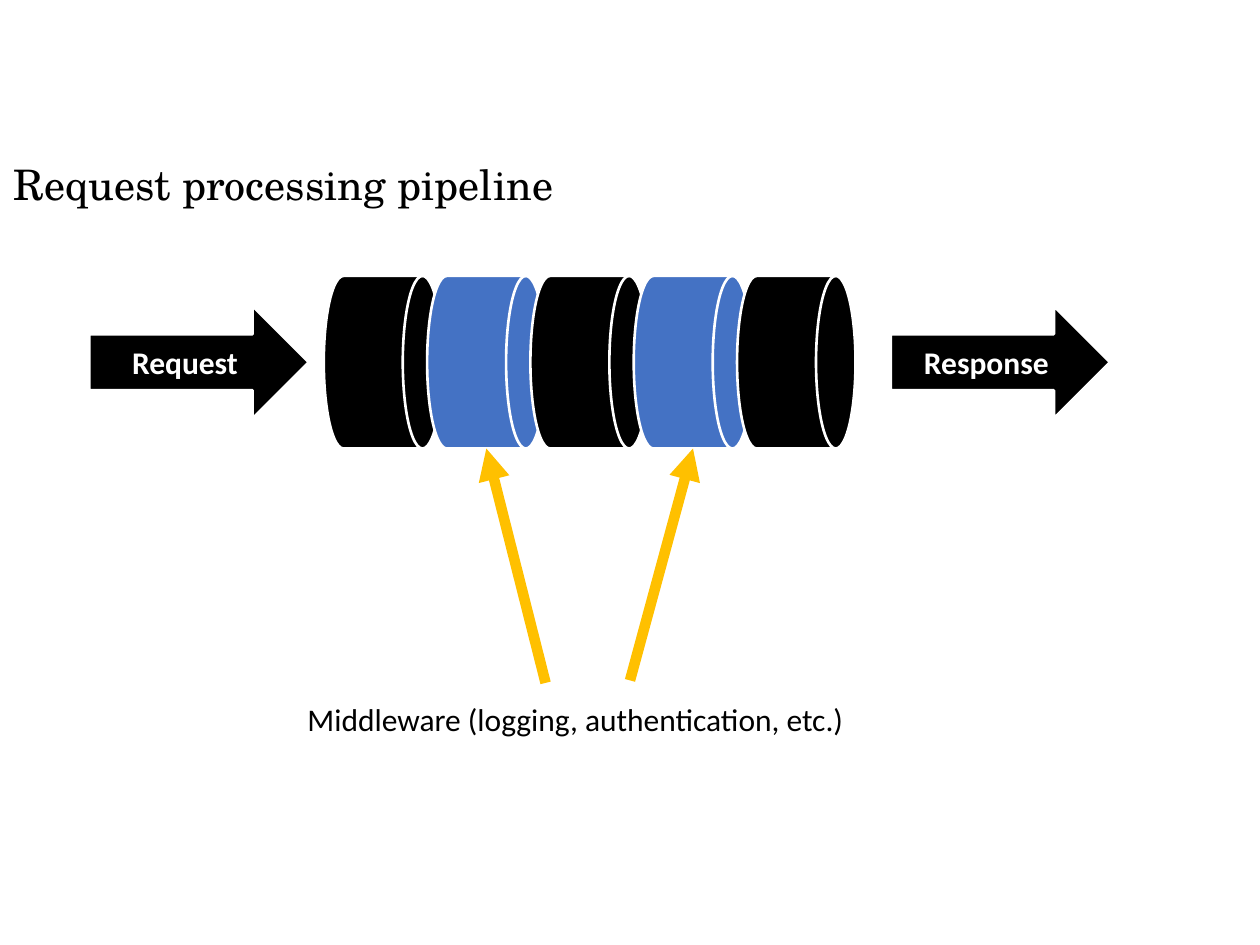
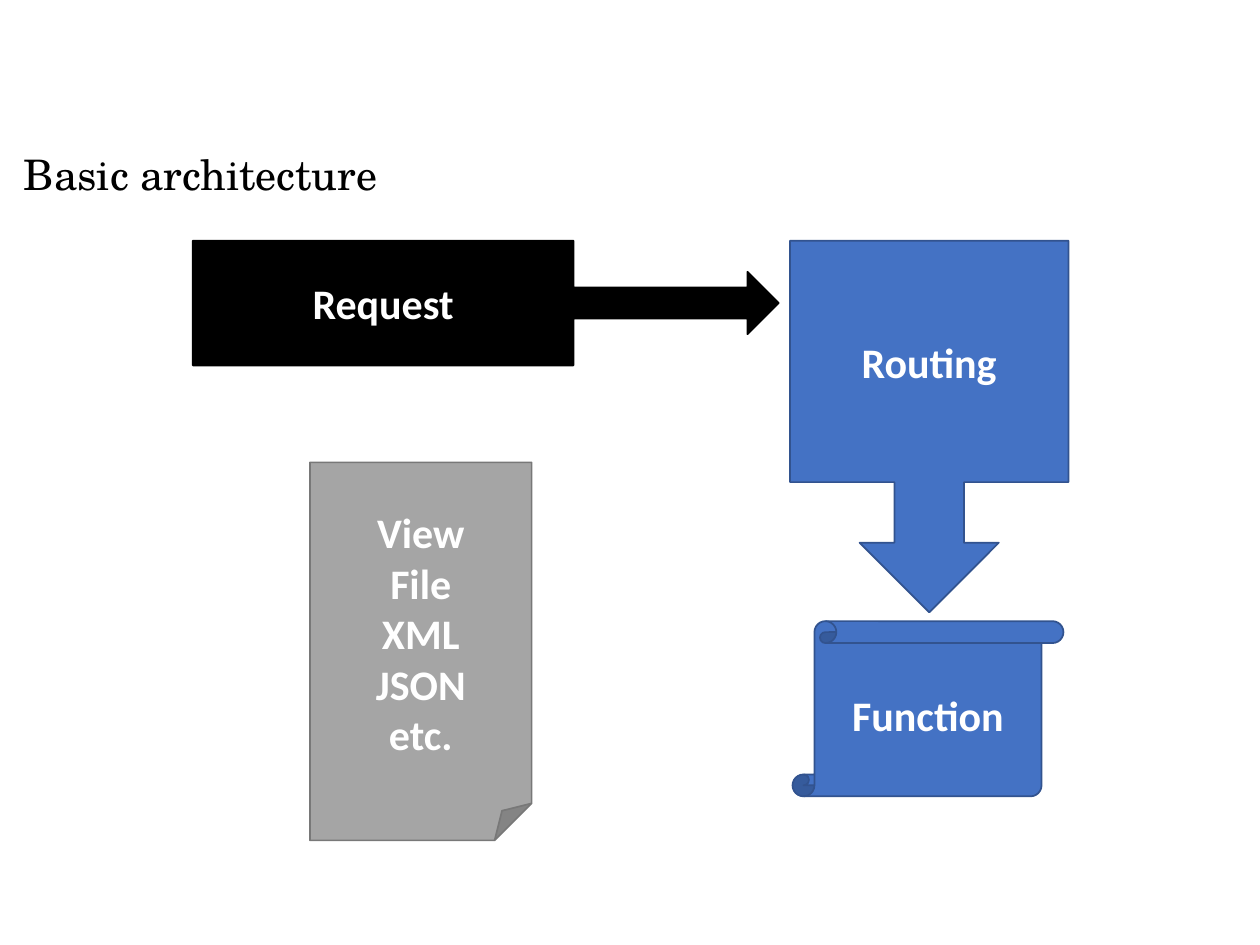
from dataclasses import dataclass

from lxml import etree
from pptx import Presentation
from pptx.dml.color import RGBColor
from pptx.enum.shapes import MSO_CONNECTOR, MSO_SHAPE
from pptx.enum.text import MSO_ANCHOR, PP_ALIGN
from pptx.oxml.ns import qn
from pptx.slide import Slide
from pptx.text.text import TextFrame
from pptx.util import Inches, Pt

ARROW = MSO_SHAPE.RIGHT_ARROW
DRUM = MSO_SHAPE.FLOWCHART_DIRECT_ACCESS_STORAGE
ARROW_BOX = MSO_SHAPE.RIGHT_ARROW_CALLOUT
DOWN_ARROW_BOX = MSO_SHAPE.DOWN_ARROW_CALLOUT
PAGE = MSO_SHAPE.FOLDED_CORNER
SCROLL = MSO_SHAPE.VERTICAL_SCROLL
STRAIGHT = MSO_CONNECTOR.STRAIGHT
LEFT, CENTER = PP_ALIGN.LEFT, PP_ALIGN.CENTER
TOP, MIDDLE = MSO_ANCHOR.TOP, MSO_ANCHOR.MIDDLE


@dataclass(frozen=True)
class Theme:
    black: str = "000000"
    white: str = "FFFFFF"
    blue: str = "4472C4"
    blue_edge: str = "32538F"
    gray: str = "A5A5A5"
    gray_edge: str = "787878"
    gold: str = "FFC000"
    title_font: str = "TeX Gyre Schola"
    body_font: str = "Calibri"
    large: int = 24
    small: int = 18
    outline: float = 1
    pipe_outline: float = 1.5
    pointer: float = 6
    title_inset: float = 0.1
    inset: float = 0.05


THEME = Theme()


@dataclass(frozen=True)
class Box:
    left: float
    top: float
    width: float
    height: float

    def emu(self) -> tuple[int, ...]:
        return tuple(Inches(v) for v in (self.left, self.top, self.width, self.height))


@dataclass(frozen=True)
class TextStyle:
    size: int
    color: str
    font: str = THEME.body_font
    bold: bool = False
    align: PP_ALIGN = LEFT
    anchor: MSO_ANCHOR = TOP
    inset: float = THEME.inset


TITLE = TextStyle(THEME.large, THEME.black, THEME.title_font, inset=THEME.title_inset)
CAPTION = TextStyle(THEME.small, THEME.black)
PIPE_LABEL = TextStyle(THEME.small, THEME.white, bold=True, align=CENTER, anchor=MIDDLE)
BLOCK_LABEL = TextStyle(THEME.large, THEME.white, bold=True, align=CENTER, anchor=MIDDLE)


@dataclass(frozen=True)
class Block:
    kind: MSO_SHAPE
    box: Box
    fill: str
    edge: str
    edge_width: float = THEME.outline
    lines: tuple[str, ...] = ()
    style: TextStyle = BLOCK_LABEL


@dataclass(frozen=True)
class Pointer:
    start: tuple[float, float]
    end: tuple[float, float]


DRUM_COUNT = 5
DRUM_LEFT, DRUM_STEP = 2.57, 0.82


def pipe_arrow(label: str, left: float) -> Block:
    return Block(ARROW, Box(left, 2.43, 1.74, 0.89), THEME.black, THEME.white,
                 THEME.pipe_outline, (label,), PIPE_LABEL)


def pipe_drum(index: int) -> Block:
    return Block(DRUM, Box(DRUM_LEFT + index * DRUM_STEP, 2.19, 0.94, 1.37),
                 THEME.blue if index % 2 else THEME.black, THEME.white, THEME.pipe_outline)


PIPELINE = [pipe_arrow("Response", 7.07), pipe_arrow("Request", 0.71)]
PIPELINE += [pipe_drum(index) for index in range(DRUM_COUNT)]
MIDDLEWARE_POINTERS = [
    Pointer((4.33, 5.42), (3.86, 3.56)),
    Pointer((5, 5.4), (5.5, 3.56)),
]
ARCHITECTURE = [
    Block(ARROW_BOX, Box(1.53, 1.91, 4.65, 0.99), THEME.black, THEME.black,
          lines=("Request",)),
    Block(PAGE, Box(2.46, 3.67, 1.76, 3), THEME.gray, THEME.gray_edge,
          lines=("View", "File", "XML", "JSON\netc.")),
    Block(SCROLL, Box(6.29, 4.93, 2.15, 1.39), THEME.blue, THEME.blue_edge,
          lines=("Function",)),
    Block(DOWN_ARROW_BOX, Box(6.27, 1.91, 2.21, 2.95), THEME.blue, THEME.blue_edge,
          lines=("Routing",)),
]


def write_text(frame: TextFrame, lines: tuple[str, ...], style: TextStyle) -> None:
    frame.word_wrap = True
    frame.vertical_anchor = style.anchor
    frame.margin_left = frame.margin_right = Inches(style.inset)
    frame.margin_top = frame.margin_bottom = Inches(style.inset)
    for index, line in enumerate(lines):
        paragraph = frame.add_paragraph() if index else frame.paragraphs[0]
        paragraph.alignment = style.align
        for part_index, part in enumerate(line.split("\n")):
            if part_index:
                paragraph.add_line_break()
            run = paragraph.add_run()
            run.text = part
            run.font.name = style.font
            run.font.size = Pt(style.size)
            run.font.bold = style.bold
            run.font.color.rgb = RGBColor.from_string(style.color)


def add_text(slide: Slide, text: str, box: Box, style: TextStyle) -> None:
    write_text(slide.shapes.add_textbox(*box.emu()).text_frame, (text,), style)


def add_block(slide: Slide, block: Block) -> None:
    shape = slide.shapes.add_shape(block.kind, *block.box.emu())
    shape.shadow.inherit = False
    shape.fill.solid()
    shape.fill.fore_color.rgb = RGBColor.from_string(block.fill)
    shape.line.color.rgb = RGBColor.from_string(block.edge)
    shape.line.width = Pt(block.edge_width)
    write_text(shape.text_frame, block.lines, block.style)


def add_pointer(slide: Slide, pointer: Pointer) -> None:
    ends = (Inches(v) for v in pointer.start + pointer.end)
    connector = slide.shapes.add_connector(STRAIGHT, *ends)
    connector.line.color.rgb = RGBColor.from_string(THEME.gold)
    connector.line.width = Pt(THEME.pointer)
    properties = connector.element.spPr
    etree.SubElement(properties.find(qn("a:ln")), qn("a:tailEnd"), type="triangle")
    etree.SubElement(properties, qn("a:effectLst"))


def add_titled_slide(deck: Presentation, title: str, left: float, top: float,
                     blocks: list[Block]) -> Slide:
    slide = deck.slides.add_slide(deck.slide_layouts[6])
    add_text(slide, title, Box(left, top, 6.17, 0.6), TITLE)
    for block in blocks:
        add_block(slide, block)
    return slide


def main() -> None:
    deck = Presentation()
    deck.slide_width, deck.slide_height = Inches(10), Inches(7.5)
    pipeline = add_titled_slide(deck, "Request processing pipeline", 0.01, 1.16, PIPELINE)
    for pointer in MIDDLEWARE_POINTERS:
        add_pointer(pipeline, pointer)
    add_text(pipeline, "Middleware (logging, authentication, etc.)",
             Box(2.39, 5.51, 4.88, 0.39), CAPTION)
    add_titled_slide(deck, "Basic architecture", 0.09, 1.08, ARCHITECTURE)
    deck.save("out.pptx")


if __name__ == "__main__":
    main()
